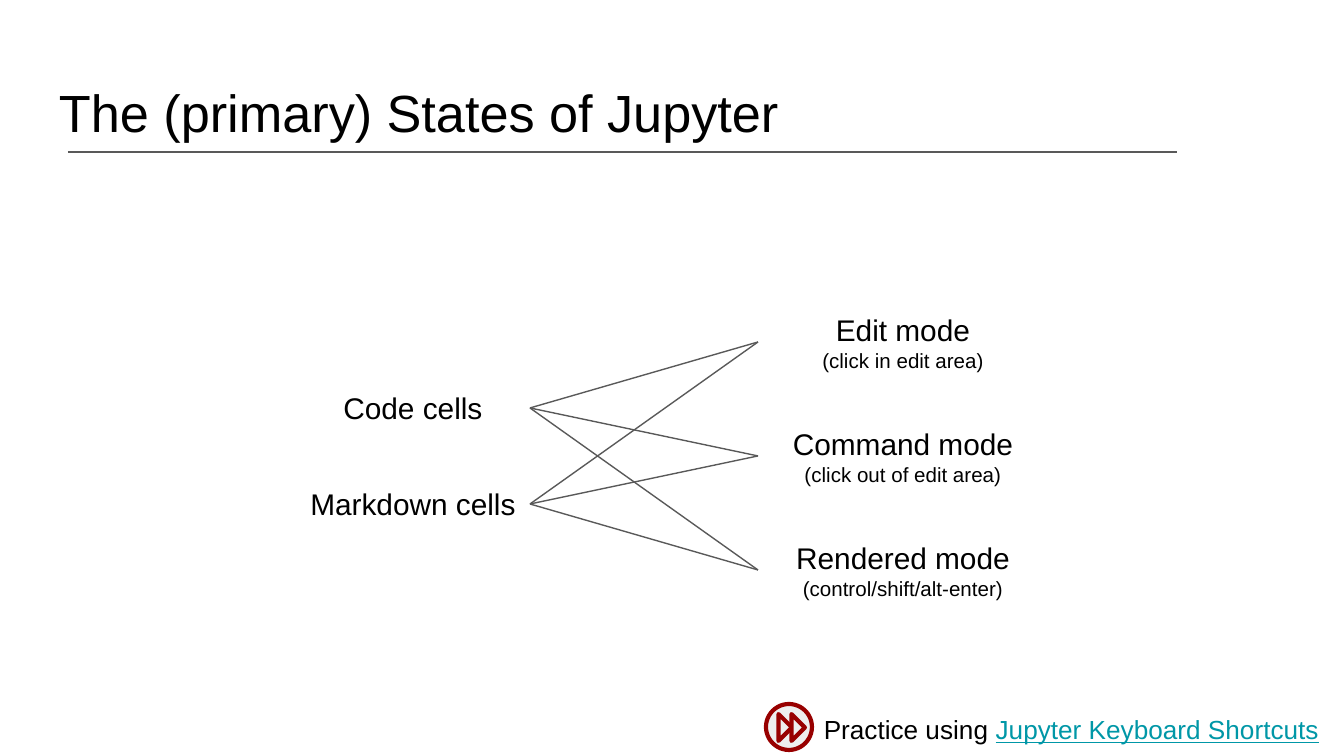
from lxml import etree
from pptx import Presentation
from pptx.dml.color import RGBColor
from pptx.enum.shapes import MSO_CONNECTOR, MSO_SHAPE
from pptx.enum.text import MSO_ANCHOR, PP_ALIGN
from pptx.oxml.ns import qn
from pptx.util import Emu, Pt

STRAIGHT = MSO_CONNECTOR.STRAIGHT
OVAL, TRIANGLE = MSO_SHAPE.OVAL, MSO_SHAPE.RIGHT_TRIANGLE
TOP, MIDDLE, BOTTOM = MSO_ANCHOR.TOP, MSO_ANCHOR.MIDDLE, MSO_ANCHOR.BOTTOM
LEFT, CENTER, RIGHT = PP_ALIGN.LEFT, PP_ALIGN.CENTER, PP_ALIGN.RIGHT

BLACK, GRAY, TEAL, RED, PALE = "000000", "595959", "0097A7", "980000", "EEEEEE"

TITLE = "The (primary) States of Jupyter"
CELLS = ["Code cells", "Markdown cells"]
MODES = [
    ("Edit mode", "(click in edit area)"),
    ("Command mode", "(click out of edit area)"),
    ("Rendered mode", "(control/shift/alt-enter)"),
]
PRACTICE, SHORTCUTS = "Practice using ", "Jupyter Keyboard Shortcuts"

CELL_LEFT, CELL_TOP, CELL_WIDTH, CELL_STEP = 296, 375, 234, 96
MODE_LEFT, MODE_TOP, MODE_WIDTH, MODE_STEP = 758, 309, 290, 114
LABEL_HEIGHT = 66


def px(length):
    return Emu(round(length * 914400 / 134.4))


def rgb(color):
    return RGBColor.from_string(color)


def write(holder, paragraphs, align=LEFT, anchor=TOP, spacing=1.0, bottom=13):
    frame = holder.text_frame
    frame.word_wrap = True
    frame.vertical_anchor = anchor
    frame.margin_left = frame.margin_right = frame.margin_top = px(13)
    frame.margin_bottom = px(bottom)
    for index, runs in enumerate(paragraphs):
        paragraph = frame.add_paragraph() if index else frame.paragraphs[0]
        paragraph.alignment = align
        paragraph.line_spacing = spacing
        for words, size, color, underline in runs:
            run = paragraph.add_run()
            run.text = words
            run.font.name = "Arial"
            run.font.size = Pt(size)
            run.font.color.rgb = rgb(color)
            run.font.underline = underline


def add_text(left, top, width, height, paragraphs, **format):
    box = slide.shapes.add_textbox(px(left), px(top), px(width), px(height))
    write(box, paragraphs, **format)


def add_line(x1, y1, x2, y2):
    line = slide.shapes.add_connector(STRAIGHT, px(x1), px(y1), px(x2), px(y2))
    line.line.color.rgb = rgb(GRAY)
    line.line.width = Pt(0.75)
    etree.SubElement(line._element.spPr, qn("a:effectLst"))


def add_icon_part(kind, left, top, size, rotation=0):
    part = slide.shapes.add_shape(kind, px(left), px(top), px(size), px(size))
    part.rotation = rotation
    part.shadow.inherit = False
    part.fill.solid()
    part.fill.fore_color.rgb = rgb(PALE)
    part.line.color.rgb = rgb(RED)
    part.line.width = Pt(2.25)


deck = Presentation()
deck.slide_width, deck.slide_height = px(1344), px(756)
slide = deck.slides.add_slide(deck.slide_layouts[5])

title = slide.shapes.title
title.left, title.top, title.width, title.height = px(46), px(66), px(1252), px(85)
write(title, [[(TITLE, 28, BLACK, False)]], anchor=BOTTOM, bottom=8)
add_line(68, 152, 1177, 152)

cell_tops = [CELL_TOP + CELL_STEP * row for row in range(len(CELLS))]
mode_tops = [MODE_TOP + MODE_STEP * row for row in range(len(MODES))]

for cell, top in zip(CELLS, cell_tops):
    add_text(CELL_LEFT, top, CELL_WIDTH, LABEL_HEIGHT,
             [[(cell, 16, BLACK, False)]], align=CENTER, anchor=MIDDLE)

for (mode, hint), top in zip(MODES, mode_tops):
    add_text(MODE_LEFT, top, MODE_WIDTH, LABEL_HEIGHT,
             [[(mode, 16, BLACK, False)], [(hint, 11, BLACK, False)]],
             align=CENTER, anchor=MIDDLE)

for cell_top in cell_tops:
    for mode_top in mode_tops:
        add_line(CELL_LEFT + CELL_WIDTH, cell_top + LABEL_HEIGHT / 2,
                 MODE_LEFT, mode_top + LABEL_HEIGHT / 2)

add_text(198, 696, 1134, 38,
         [[(PRACTICE, 14, BLACK, False), (SHORTCUTS, 14, TEAL, True)]],
         align=RIGHT, spacing=1.15)

add_icon_part(OVAL, 766, 704, 46)
for left in (769, 782):
    add_icon_part(TRIANGLE, left, 718, 19, rotation=225)

deck.save("out.pptx")
